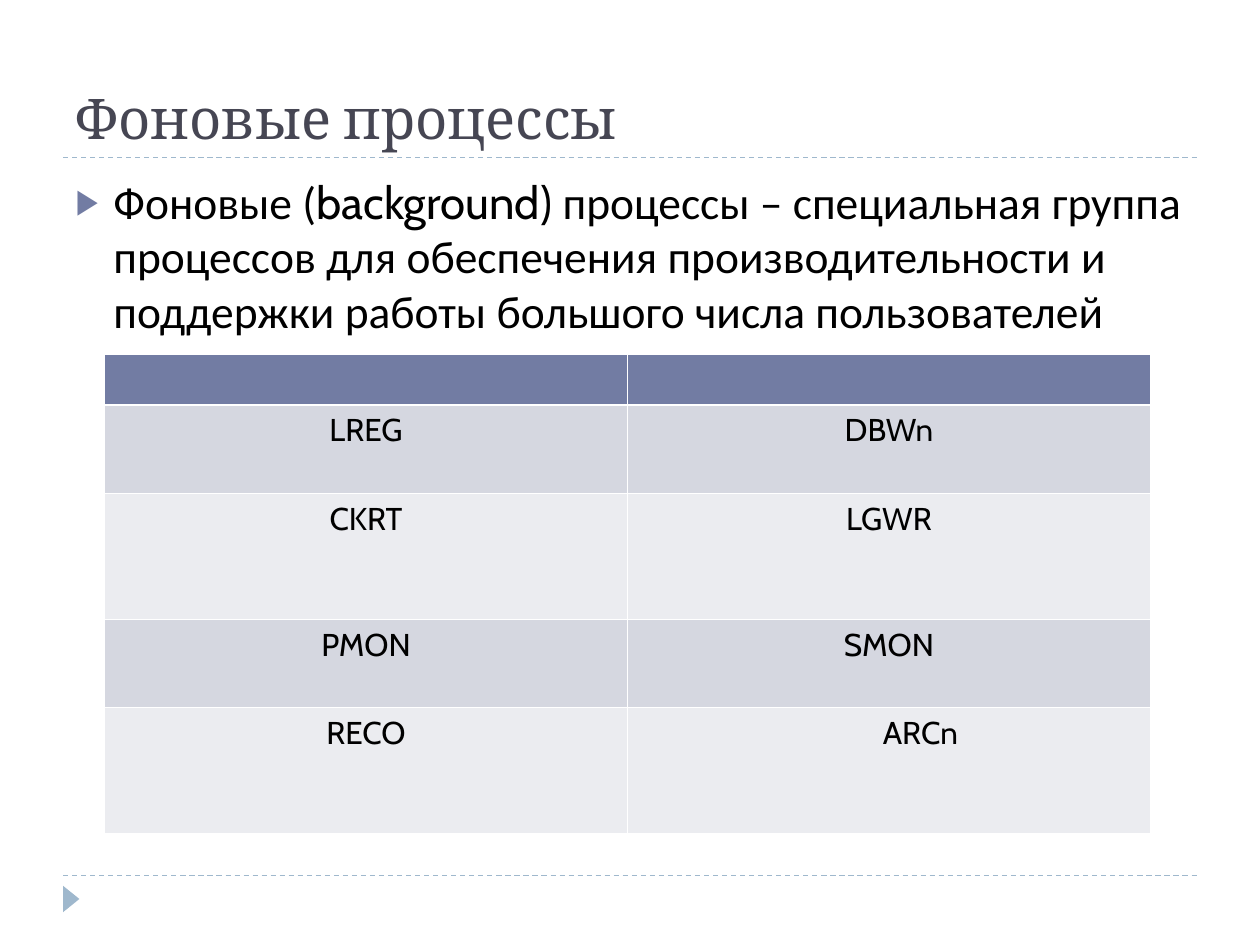
from typing import NamedTuple

from lxml import etree
from pptx import Presentation
from pptx.dml.color import RGBColor
from pptx.enum.dml import MSO_LINE
from pptx.enum.shapes import MSO_CONNECTOR, MSO_SHAPE
from pptx.enum.text import MSO_ANCHOR, MSO_AUTO_SIZE, PP_ALIGN
from pptx.oxml.ns import qn
from pptx.util import Inches, Pt

STRAIGHT = MSO_CONNECTOR.STRAIGHT
TRIANGLE = MSO_SHAPE.ISOSCELES_TRIANGLE
DASH = MSO_LINE.DASH
TOP, BOTTOM = MSO_ANCHOR.TOP, MSO_ANCHOR.BOTTOM
LEFT, CENTER = PP_ALIGN.LEFT, PP_ALIGN.CENTER
NO_AUTOFIT = MSO_AUTO_SIZE.NONE

BLACK = RGBColor(0x00, 0x00, 0x00)
WHITE = RGBColor(0xFF, 0xFF, 0xFF)
TITLE_GREY = RGBColor(0x46, 0x46, 0x53)
ACCENT = RGBColor(0x72, 0x7C, 0xA3)
PALE_BLUE = RGBColor(0x9F, 0xB8, 0xCD)
BANDS = (RGBColor(0xD5, 0xD7, 0xE0), RGBColor(0xEB, 0xEC, 0xF0))

TITLE_FORMAT = {"name": "Cambria", "size": Pt(32), "bold": False}
BODY_FORMAT = {"name": "Calibri", "size": Pt(26)}
LATIN_FORMAT = {"name": "Cabin", "size": Pt(26)}
CELL_FORMAT = {"name": "Cabin", "size": Pt(18), "bold": False}

THIN, THICK = 0.45, 1.47
COLUMN_WIDTH = 4.15


class Span(NamedTuple):
    text: str
    font: dict


class Row(NamedTuple):
    height: float
    names: tuple


BODY = (
    Span("Фоновые (", BODY_FORMAT),
    Span("background) ", LATIN_FORMAT),
    Span("процессы – специальная группа процессов для обеспечения "
         "производительности и поддержки работы большого числа пользователей",
         BODY_FORMAT),
)
ROWS = (
    Row(0.4, ("", "")),
    Row(0.7, ("LREG", "DBWn")),
    Row(1, ("CKRT", "LGWR")),
    Row(0.7, ("PMON", "SMON")),
    Row(1, ("RECO", "ARCn")),
)
INDENTED_NAME = "ARCn"


def add_span(para, span: Span, color: RGBColor) -> None:
    run = para.add_run()
    run.text = span.text
    for name, value in span.font.items():
        setattr(run.font, name, value)
    run.font.color.rgb = color


def place(box, left: float, top: float, width: float, height: float, anchor) -> None:
    box.left, box.top = Inches(left), Inches(top)
    box.width, box.height = Inches(width), Inches(height)
    frame = box.text_frame
    frame.word_wrap = True
    frame.auto_size = NO_AUTOFIT
    frame.vertical_anchor = anchor


def add_bullet(para, indent: float) -> None:
    properties = para._p.get_or_add_pPr()
    properties.set("marL", str(Inches(indent)))
    properties.set("indent", str(-Inches(indent)))
    color = etree.SubElement(properties, qn("a:buClr"))
    etree.SubElement(color, qn("a:srgbClr"), val=str(ACCENT))
    etree.SubElement(properties, qn("a:buSzPct"), val="76000")
    etree.SubElement(properties, qn("a:buChar"), char="▶")


def add_rule(slide, y: float) -> None:
    rule = slide.shapes.add_connector(
        STRAIGHT, Inches(0.5), Inches(y), Inches(9.5), Inches(y))
    rule.line.color.rgb = PALE_BLUE
    rule.line.width = Pt(0.75)
    rule.line.dash_style = DASH
    etree.SubElement(rule._element.spPr, qn("a:effectLst"))


def add_corner_mark(slide) -> None:
    mark = slide.shapes.add_shape(
        TRIANGLE, Inches(0.46), Inches(7.07), Inches(0.21), Inches(0.13))
    mark.rotation = 90
    mark.shadow.inherit = False
    mark.fill.solid()
    mark.fill.fore_color.rgb = PALE_BLUE
    mark.line.fill.background()


def set_borders(cell, top: float, bottom: float) -> None:
    properties = cell._tc.get_or_add_tcPr()
    widths = {"lnL": THIN, "lnR": THIN, "lnT": top, "lnB": bottom}
    for side, width in widths.items():
        line = etree.SubElement(properties, qn(f"a:{side}"), w=str(Pt(width)))
        fill = etree.SubElement(line, qn("a:solidFill"))
        etree.SubElement(fill, qn("a:srgbClr"), val=str(WHITE))


def fill_cell(cell, name: str, row_index: int) -> None:
    set_borders(cell, THICK if row_index == 1 else THIN,
                THICK if row_index == 0 else THIN)
    cell.fill.solid()
    cell.fill.fore_color.rgb = BANDS[(row_index - 1) % 2] if row_index else ACCENT
    cell.vertical_anchor = TOP
    para = cell.text_frame.paragraphs[0]
    para.alignment = CENTER
    if name:
        add_span(para, Span(name, CELL_FORMAT), BLACK)
    if name == INDENTED_NAME:
        para._p.get_or_add_pPr().set("marL", str(Inches(0.5)))


def add_process_table(slide) -> None:
    columns = len(ROWS[0].names)
    table = slide.shapes.add_table(
        len(ROWS), columns, Inches(0.83), Inches(2.81),
        Inches(columns * COLUMN_WIDTH),
        Inches(sum(row.height for row in ROWS))).table
    for column in table.columns:
        column.width = Inches(COLUMN_WIDTH)
    for row_index, row in enumerate(ROWS):
        table.rows[row_index].height = Inches(row.height)
        for column_index, name in enumerate(row.names):
            fill_cell(table.cell(row_index, column_index), name, row_index)


def main() -> None:
    deck = Presentation()
    deck.slide_width, deck.slide_height = Inches(10), Inches(7.5)
    slide = deck.slides.add_slide(deck.slide_layouts[1])

    for y in (6.95, 1.25):
        add_rule(slide, y)
    add_corner_mark(slide)

    title = slide.shapes.title
    place(title, 0.5, 0.17, 9, 1.08, BOTTOM)
    heading = title.text_frame.paragraphs[0]
    heading.alignment = LEFT
    add_span(heading, Span("Фоновые процессы", TITLE_FORMAT), TITLE_GREY)

    body = slide.placeholders[1]
    place(body, 0.5, 1.33, 9, 5.4, TOP)
    para = body.text_frame.paragraphs[0]
    para.space_before = Pt(6)
    add_bullet(para, 0.3)
    for span in BODY:
        add_span(para, span, BLACK)

    add_process_table(slide)
    deck.save("out.pptx")


if __name__ == "__main__":
    main()
